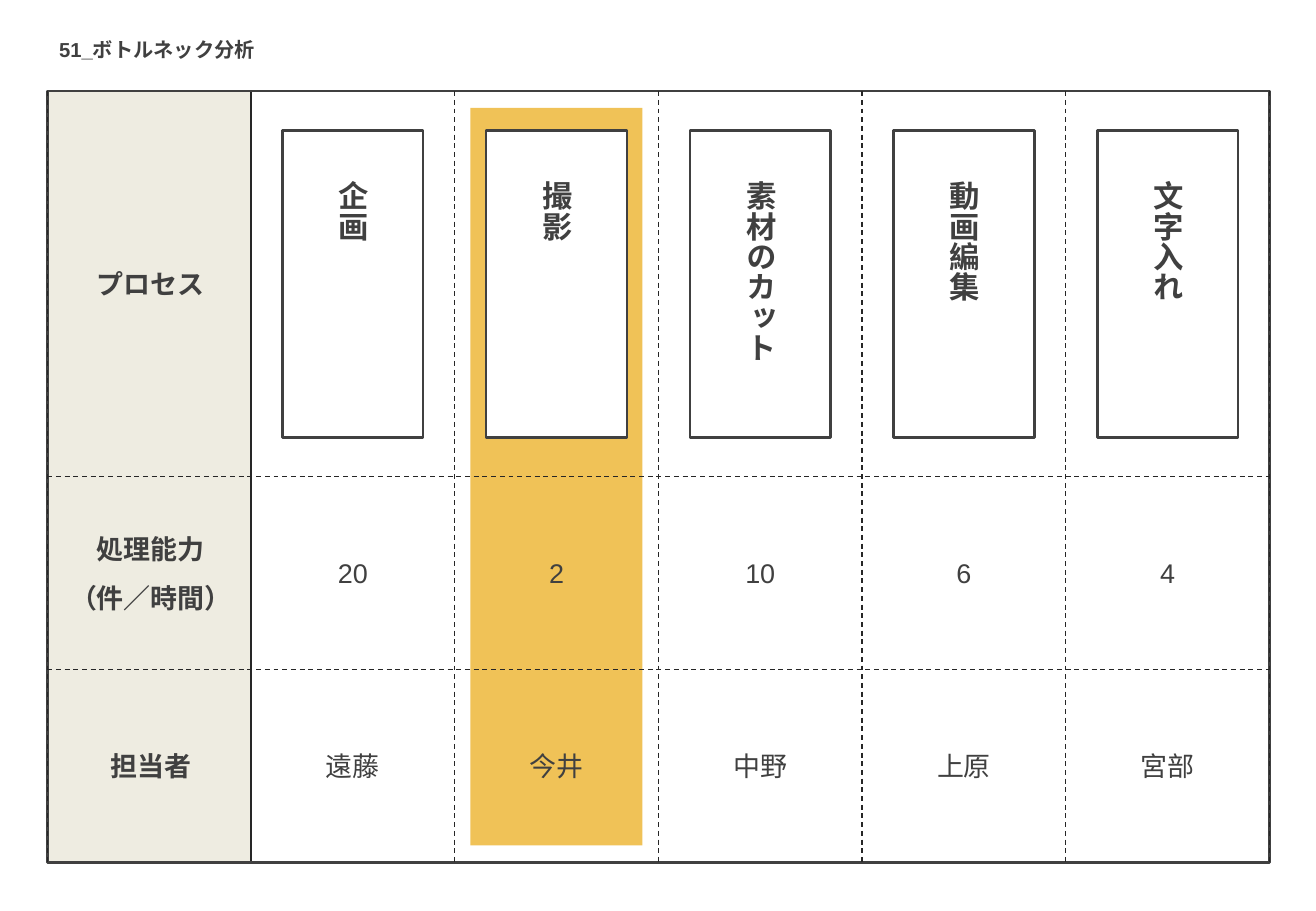
from itertools import accumulate

from lxml import etree
from pptx import Presentation
from pptx.dml.color import RGBColor
from pptx.enum import dml, shapes, text
from pptx.oxml.ns import qn
from pptx.util import Pt

INK = RGBColor(0x40, 0x40, 0x40)
RULE = RGBColor(0x26, 0x26, 0x26)
BEIGE = RGBColor(0xEE, 0xEC, 0xE1)
AMBER = RGBColor(0xF0, 0xC2, 0x57)
WHITE = RGBColor(0xFF, 0xFF, 0xFF)
FONT = "Arial"

LEFT, TOP, COL_W = 28, 54, 120.75
ROW_H = [228.6, 114.3, 114.3]
HEADERS = [["プロセス"], ["処理能力", "（件／時間）"], ["担当者"]]
STEPS = [
    ("企画", "20", "遠藤"),
    ("撮影", "2", "今井"),
    ("素材のカット", "10", "中野"),
    ("動画編集", "6", "上原"),
    ("文字入れ", "4", "宮部"),
]
BOTTLENECK = 1
BOX_W, BOX_H, LABEL_W, LABEL_H, MARK_W, MARK_GAP = 83.5, 182, 36, 136, 102, 10


class Canvas:
    """Draws styled elements on one slide, with lengths in points."""

    def __init__(self, slide):
        self.s = slide

    def rect(self, x, y, w, h, fill=None, line=None):
        sp = self.s.shapes.add_shape(
            shapes.MSO_SHAPE.RECTANGLE, Pt(x), Pt(y), Pt(w), Pt(h))
        sp.shadow.inherit = False
        if fill is None:
            sp.fill.background()
        else:
            sp.fill.solid()
            sp.fill.fore_color.rgb = fill
        if line is None:
            sp.line.fill.background()
        else:
            sp.line.color.rgb = line
            sp.line.width = Pt(1.5)
        return sp

    def line(self, x1, y1, x2, y2, width=0.75, dashed=True):
        cn = self.s.shapes.add_connector(
            shapes.MSO_CONNECTOR.STRAIGHT, Pt(x1), Pt(y1), Pt(x2), Pt(y2))
        cn.line.color.rgb = RULE
        cn.line.width = Pt(width)
        if dashed:
            cn.line.dash_style = dml.MSO_LINE.DASH
        etree.SubElement(cn._element.spPr, qn("a:effectLst"))

    def text(self, lines, x, y, w, h, **fmt):
        sp = self.s.shapes.add_textbox(Pt(x), Pt(y), Pt(w), Pt(h))
        write(sp.text_frame, lines, **fmt)
        return sp

    def group(self, *members):
        self.s.shapes.add_group_shape(members)


def write(tf, lines, size=16, bold=False, align=text.PP_ALIGN.CENTER,
          anchor=text.MSO_ANCHOR.MIDDLE, spacing=1.5, vertical=False):
    """Fill a text frame with one paragraph per line."""
    tf.word_wrap = True
    tf.vertical_anchor = anchor
    if vertical:
        tf._txBody.bodyPr.set("vert", "eaVert")
    for i, line in enumerate(lines):
        p = tf.add_paragraph() if i else tf.paragraphs[0]
        p.alignment = align
        if i:
            p.line_spacing = spacing
        r = p.add_run()
        r.text = line
        r.font.name = FONT
        r.font.size = Pt(size)
        r.font.bold = bold
        r.font.color.rgb = INK


def main():
    """Build the bottleneck analysis slide."""
    prs = Presentation()
    prs.slide_width, prs.slide_height = Pt(780), Pt(540)
    c = Canvas(prs.slides.add_slide(prs.slide_layouts[6]))

    xs = [LEFT + COL_W * i for i in range(len(STEPS) + 2)]
    ys = list(accumulate(ROW_H, initial=TOP))
    right, bottom = xs[-1], ys[-1]
    centers = [x + COL_W / 2 for x in xs[1:-1]]
    middles = [y + h / 2 for y, h in zip(ys, ROW_H)]

    c.rect(centers[BOTTLENECK] - MARK_W / 2, TOP + MARK_GAP,
           MARK_W, bottom - TOP - 2 * MARK_GAP, fill=AMBER)
    c.rect(LEFT, TOP, COL_W, bottom - TOP, fill=BEIGE)
    c.line(xs[1], TOP, xs[1], bottom, width=1.5, dashed=False)
    c.rect(LEFT, TOP, right - LEFT, bottom - TOP, line=INK)
    c.text(["51_ボトルネック分析"], LEFT, 18.7, 132, 22, size=12, bold=True,
           align=text.PP_ALIGN.LEFT, anchor=text.MSO_ANCHOR.TOP)

    for y in ys[1:-1]:
        c.line(LEFT, y, right, y)
    for x in xs[:1] + xs[2:]:
        c.line(x, TOP, x, bottom)

    for y, h, header in zip(ys, ROW_H, HEADERS):
        c.text(header, LEFT + 2, y, COL_W - 2, h, bold=True)

    for x, (step, *values) in zip(centers, STEPS):
        box = c.rect(x - BOX_W / 2, middles[0] - BOX_H / 2, BOX_W, BOX_H,
                     fill=WHITE, line=INK)
        label = c.text([step], x - LABEL_W / 2, middles[0] - LABEL_H / 2,
                       LABEL_W, LABEL_H, size=18, bold=True, vertical=True,
                       align=text.PP_ALIGN.LEFT)
        c.group(box, label)
        for y, value in zip(middles[1:], values):
            c.text([value], x - BOX_W / 2, y - 13.5, BOX_W, 27)

    prs.save("out.pptx")


main()
